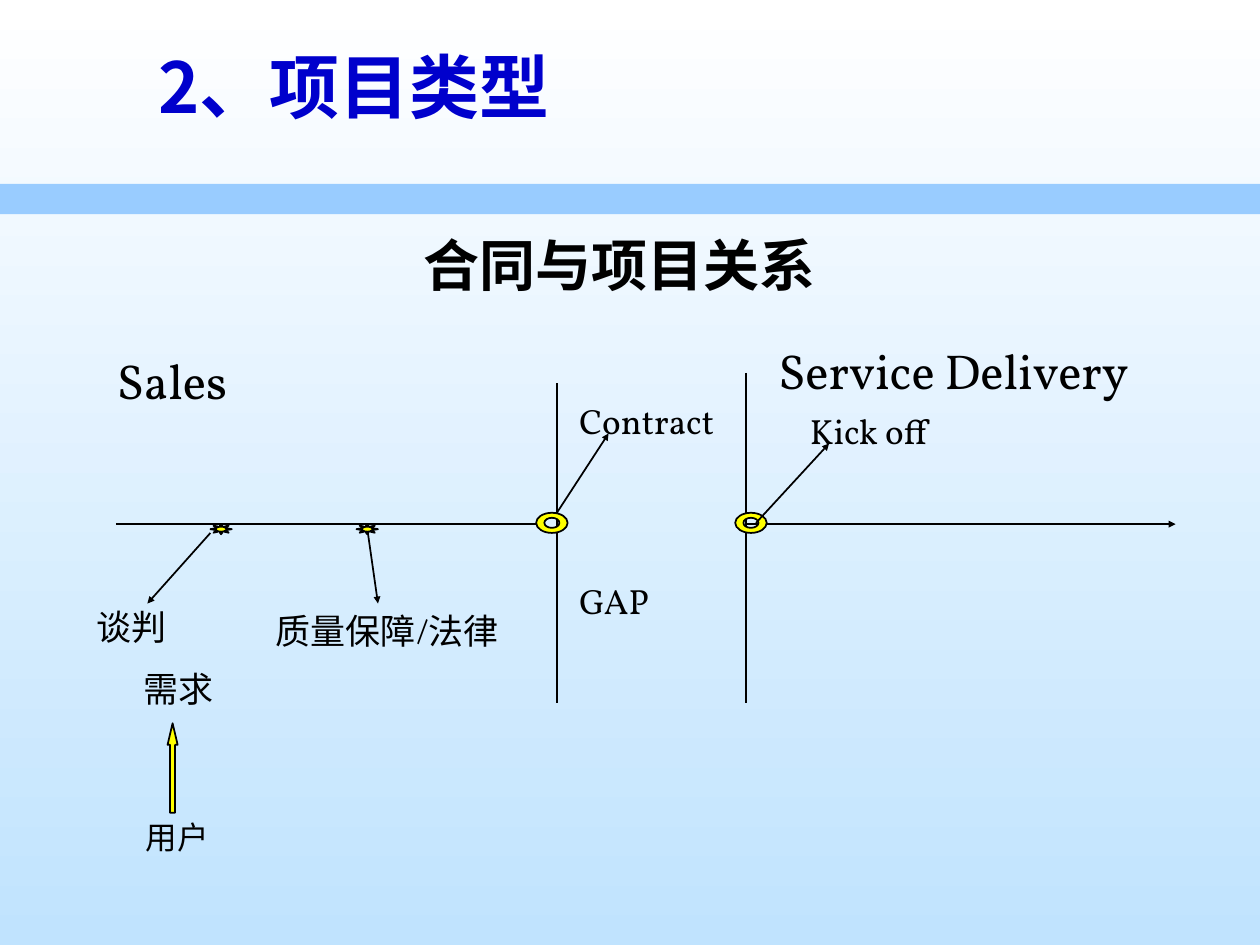
from dataclasses import dataclass

from lxml.etree import SubElement
from pptx import Presentation
from pptx.dml.color import RGBColor
from pptx.enum.shapes import MSO_CONNECTOR as Connector, MSO_SHAPE as Preset
from pptx.enum.text import MSO_ANCHOR as Anchor, MSO_AUTO_SIZE as AutoSize, PP_ALIGN as Align
from pptx.oxml.ns import qn
from pptx.shapes.autoshape import Shape
from pptx.slide import Slide
from pptx.text.text import TextFrame
from pptx.util import Inches, Pt


@dataclass(frozen=True)
class Theme:
    black: str = "000000"
    heading: str = "0000CC"
    marker: str = "FFFF00"
    band: str = "99CCFF"
    sky_top: str = "FFFFFF"
    sky_bottom: str = "C0E3FE"
    latin: str = "Vollkorn"
    narrow: str = "Arial Narrow"
    chinese: str = "Noto Sans CJK SC"
    heading_size: int = 40
    title_size: int = 32
    phase_size: int = 28
    label_size: int = 20
    small_size: int = 18
    line_width: int = 1


THEME = Theme()


@dataclass(frozen=True)
class Label:
    text: str
    left: float
    top: float
    width: float
    height: float = 0.44
    size: int = THEME.label_size
    font: str = THEME.latin
    color: str = THEME.black
    bold: bool = False
    align: Align = Align.LEFT
    fit: AutoSize = AutoSize.SHAPE_TO_FIT_TEXT


@dataclass(frozen=True)
class Line:
    x1: float
    y1: float
    x2: float
    y2: float
    arrow: bool = True


@dataclass(frozen=True)
class Marker:
    preset: Preset
    left: float
    top: float
    width: float
    height: float
    adjustments: tuple[float, ...]


AXIS = 4.16
CONTRACT_X, KICKOFF_X = 4.42, 5.92
BOTTOM = 5.58

TITLE = Label("合同与项目关系", 0.67, 1.71, 8.5, 0.7, THEME.title_size,
              THEME.chinese, bold=True, align=Align.CENTER, fit=AutoSize.NONE)

LABELS = [
    Label("Sales", 0.83, 2.73, 3.08, 0.57, THEME.phase_size),
    Label("Service Delivery", 6.08, 2.65, 3.08, 1.04, THEME.phase_size),
    Label("用户", 1.06, 6.44, 1.18, 0.4, THEME.small_size),
    Label("Contract", 4.5, 3.12, 1.67),
    Label("谈判", 0.67, 4.76, 1.75, font=THEME.narrow),
    Label("需求", 0.42, 5.25, 2, align=Align.CENTER),
    Label("质量保障/法律", 2.09, 4.79, 2.25),
    Label("GAP", 4.5, 4.55, 1.17),
    Label("Kick off", 6.33, 3.2, 1.67),
    Label("2、项目类型", 1.16, 0.3, 8.41, 1.25, THEME.heading_size,
          THEME.chinese, THEME.heading, True, fit=AutoSize.NONE),
]

TIMELINE = [
    Line(0.92, AXIS, 4.33, AXIS),
    Line(CONTRACT_X, 3.04, CONTRACT_X, BOTTOM, False),
    Line(KICKOFF_X, 2.96, KICKOFF_X, BOTTOM, False),
    Line(KICKOFF_X, AXIS, 9.33, AXIS),
]

POINTERS = [
    Line(CONTRACT_X, 4.07, 4.83, 3.44),
    Line(1.67, 4.23, 1.17, 4.79),
    Line(2.92, 4.23, 3, 4.79),
    Line(6, 4.15, 6.58, 3.52),
]

MARKERS = [
    Marker(Preset.SUN, 1.67, AXIS, 0.17, 0.08, (0.25,)),
    Marker(Preset.SUN, 2.83, AXIS, 0.17, 0.08, (0.25,)),
    Marker(Preset.UP_ARROW, 1.33, 5.74, 0.08, 0.71, (0.5, 2.14)),
]

RING_CENTERS = (4.38, 5.96)
RING_Y = 4.15
CURVE = 0.55


def write(frame: TextFrame, label: Label) -> None:
    frame.word_wrap = True
    frame.auto_size = label.fit
    para = frame.paragraphs[0]
    para.text = label.text
    para.alignment = label.align
    font = para.font
    font.size = Pt(label.size)
    font.bold = label.bold
    font.color.rgb = RGBColor.from_string(label.color)
    font.name = label.font
    defaults = para._p.get_or_add_pPr().find(qn("a:defRPr"))
    SubElement(defaults, qn("a:ea")).set("typeface", THEME.chinese)


def add_label(page: Slide, label: Label) -> None:
    box = page.shapes.add_textbox(Inches(label.left), Inches(label.top),
                                  Inches(label.width), Inches(label.height))
    write(box.text_frame, label)


def add_line(page: Slide, line: Line) -> None:
    connector = page.shapes.add_connector(
        Connector.STRAIGHT, Inches(line.x1), Inches(line.y1),
        Inches(line.x2), Inches(line.y2))
    connector.line.color.rgb = RGBColor.from_string(THEME.black)
    connector.line.width = Pt(THEME.line_width)
    if line.arrow:
        tail = SubElement(connector.line._get_or_add_ln(), qn("a:tailEnd"))
        for key, value in (("type", "triangle"), ("w", "sm"), ("len", "sm")):
            tail.set(key, value)
    SubElement(connector._element.spPr, qn("a:effectLst"))


def paint_marker(shape: Shape) -> None:
    shape.shadow.inherit = False
    shape.fill.solid()
    shape.fill.fore_color.rgb = RGBColor.from_string(THEME.marker)
    shape.line.color.rgb = RGBColor.from_string(THEME.black)
    shape.line.width = Pt(THEME.line_width)


def add_marker(page: Slide, marker: Marker) -> None:
    shape = page.shapes.add_shape(marker.preset, Inches(marker.left), Inches(marker.top),
                                  Inches(marker.width), Inches(marker.height))
    for index, value in enumerate(marker.adjustments):
        shape.adjustments[index] = value
    paint_marker(shape)


def ellipse(center_x: float, radius_x: float, radius_y: float,
            turn: int) -> list[tuple[int, int]]:
    quarters = [(-1, 0), (0, -turn), (1, 0), (0, turn), (-1, 0)]
    units = [quarters[0]]
    for (x1, y1), (x2, y2) in zip(quarters, quarters[1:]):
        units += [(x1 + CURVE * x2, y1 + CURVE * y2),
                  (x2 + CURVE * x1, y2 + CURVE * y1), (x2, y2)]
    return [(Inches(center_x + radius_x * x), Inches(RING_Y + radius_y * y))
            for x, y in units]


def round_off(shape: Shape) -> None:
    segments = list(shape._element.iter(qn("a:lnTo")))
    for first, second, third in zip(*[iter(segments)] * 3):
        first.tag = qn("a:cubicBezTo")
        for extra in (second, third):
            first.append(extra[0])
            extra.getparent().remove(extra)


def add_ring(page: Slide, center_x: float) -> None:
    outer = ellipse(center_x, 0.125, 0.08, 1)
    inner = ellipse(center_x, 0.06, 0.04, -1)
    builder = page.shapes.build_freeform(*outer[0])
    builder.add_line_segments(outer[1:], close=True)
    builder.move_to(*inner[0])
    builder.add_line_segments(inner[1:], close=True)
    ring = builder.convert_to_shape()
    round_off(ring)
    paint_marker(ring)


def add_backdrop(page: Slide) -> None:
    fill = page.background.fill
    fill.gradient()
    fill.gradient_angle = 270
    for stop, color in zip(fill.gradient_stops, (THEME.sky_top, THEME.sky_bottom)):
        stop.color.rgb = RGBColor.from_string(color)
    band = page.shapes.add_shape(Preset.RECTANGLE, 0, Inches(1.46), Inches(10.01), Inches(0.24))
    band.shadow.inherit = False
    band.fill.solid()
    band.fill.fore_color.rgb = RGBColor.from_string(THEME.band)
    band.line.fill.background()
    page.slide_layout.slide_master.shapes._spTree.append(band._element)


def main() -> None:
    deck = Presentation()
    deck.slide_width, deck.slide_height = Inches(10), Inches(7.5)
    page = deck.slides.add_slide(deck.slide_layouts[5])
    add_backdrop(page)
    title = page.shapes.title
    title.left, title.top = Inches(TITLE.left), Inches(TITLE.top)
    title.width, title.height = Inches(TITLE.width), Inches(TITLE.height)
    title.text_frame.vertical_anchor = Anchor.BOTTOM
    write(title.text_frame, TITLE)
    for items, draw in ((TIMELINE, add_line), (RING_CENTERS, add_ring), (MARKERS, add_marker),
                        (POINTERS, add_line), (LABELS, add_label)):
        for item in items:
            draw(page, item)
    deck.save("out.pptx")


if __name__ == "__main__":
    main()
